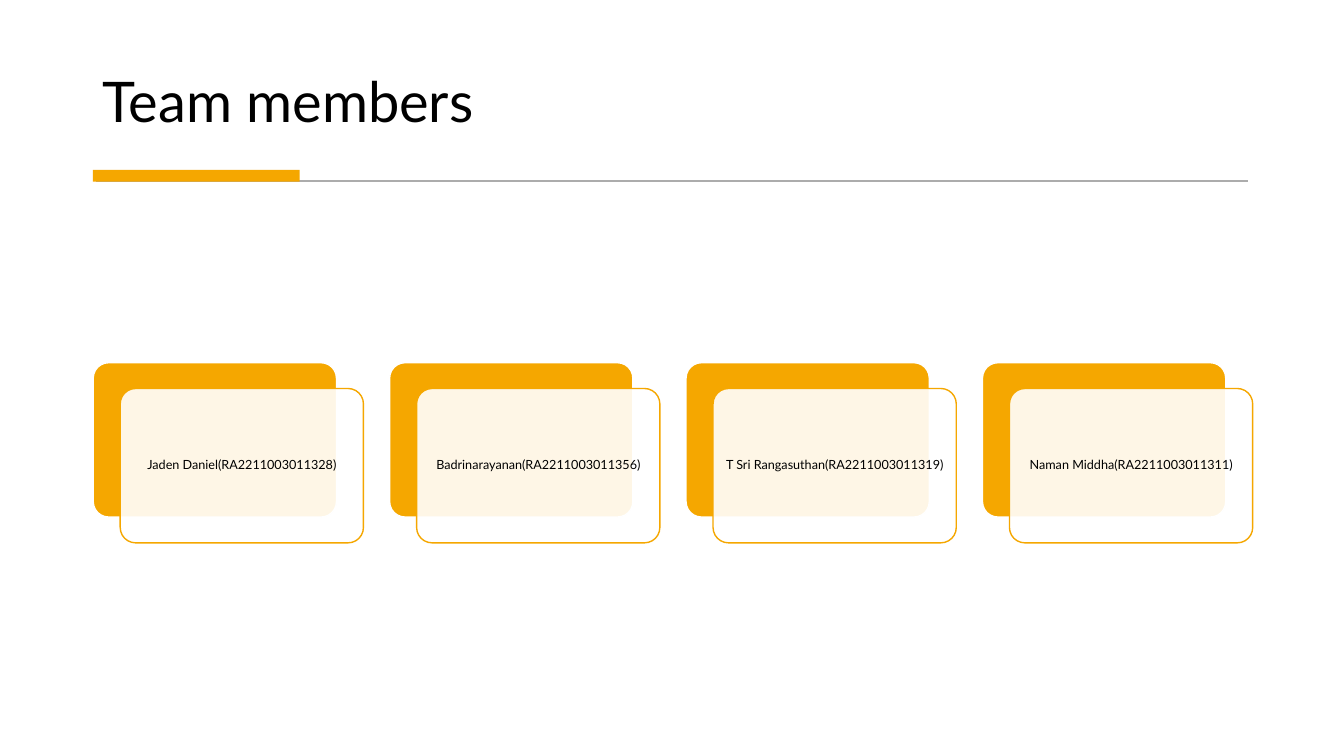
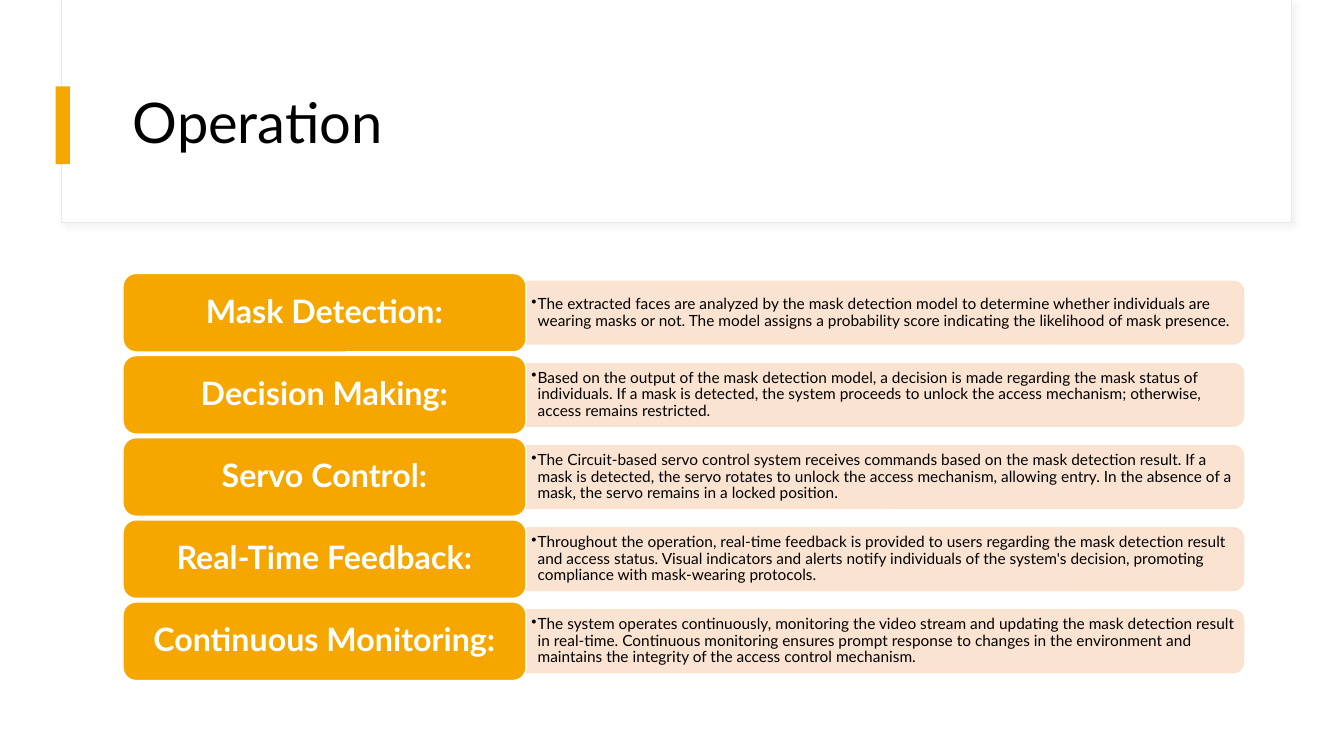
import lxml.etree
import pptx
import pptx.dml.color
import pptx.enum.shapes
import pptx.enum.text
import pptx.oxml.ns
import pptx.util

Cm = pptx.util.Cm
Pt = pptx.util.Pt
RGBColor = pptx.dml.color.RGBColor
KIND = pptx.enum.shapes.MSO_SHAPE
ALIGN = pptx.enum.text.PP_ALIGN
ANCHOR = pptx.enum.text.MSO_ANCHOR

AMBER = RGBColor(0xF5, 0xA7, 0x00)
PEACH = RGBColor(0xFB, 0xE1, 0xCC)
WHITE = RGBColor(0xFF, 0xFF, 0xFF)
BLACK = RGBColor(0x00, 0x00, 0x00)
GREY = RGBColor(0xAC, 0xAC, 0xAC)
PALE = RGBColor(0xE9, 0xE9, 0xE9)
SHADE = RGBColor(0xD9, 0xD9, 0xD9)
FONT = "Lato"

TEAM = [
    "Jaden Daniel(RA2211003011328)",
    "Badrinarayanan(RA2211003011356)",
    "T Sri Rangasuthan(RA2211003011319)",
    "Naman Middha(RA2211003011311)",
]
STEPS = [
    ("Mask Detection:",
     "The extracted faces are analyzed by the mask detection model to determine "
     "whether individuals are wearing masks or not. The model assigns a probability "
     "score indicating the likelihood of mask presence."),
    ("Decision Making:",
     "Based on the output of the mask detection model, a decision is made regarding "
     "the mask status of individuals. If a mask is detected, the system proceeds to "
     "unlock the access mechanism; otherwise, access remains restricted."),
    ("Servo Control:",
     "The Circuit-based servo control system receives commands based on the mask "
     "detection result. If a mask is detected, the servo rotates to unlock the access "
     "mechanism, allowing entry. In the absence of a mask, the servo remains in a "
     "locked position."),
    ("Real-Time Feedback:",
     "Throughout the operation, real-time feedback is provided to users regarding the "
     "mask detection result and access status. Visual indicators and alerts notify "
     "individuals of the system's decision, promoting compliance with mask-wearing "
     "protocols."),
    ("Continuous Monitoring:",
     "The system operates continuously, monitoring the video stream and updating the "
     "mask detection result in real-time. Continuous monitoring ensures prompt response "
     "to changes in the environment and maintains the integrity of the access control "
     "mechanism."),
]


def add_node(parent, tag, **attrs):
    node = lxml.etree.SubElement(parent, pptx.oxml.ns.qn(tag))
    for key, value in attrs.items():
        node.set(key, str(value))
    return node


def write(shape, text, size=11, color=BLACK, bold=False, align=ALIGN.LEFT,
          anchor=ANCHOR.MIDDLE, pad=(0.25, 0.13), bullet=False):
    frame = shape.text_frame
    frame.word_wrap = True
    frame.vertical_anchor = anchor
    frame.margin_left = frame.margin_right = Cm(pad[0])
    frame.margin_top = frame.margin_bottom = Cm(pad[1])
    para = frame.paragraphs[0]
    para.alignment = align
    para.line_spacing = 0.9
    if bullet:
        props = para._p.get_or_add_pPr()
        props.set("marL", str(Cm(0.16)))
        props.set("indent", str(-Cm(0.16)))
        add_node(props, "a:buChar", char="•")
    run = para.add_run()
    run.text = text
    run.font.name = FONT
    run.font.size = Pt(size)
    run.font.bold = bold
    run.font.color.rgb = color


class Deck:
    def __init__(self):
        self.show = pptx.Presentation()
        self.show.slide_width = Cm(33.87)
        self.show.slide_height = Cm(19.05)
        self.slide = None

    def start(self):
        self.slide = self.show.slides.add_slide(self.show.slide_layouts[6])

    def box(self, left, top, width, height, fill, kind=KIND.RECTANGLE,
            line=None, weight=1, alpha=None):
        shape = self.slide.shapes.add_shape(
            kind, Cm(left), Cm(top), Cm(width), Cm(height))
        shape.shadow.inherit = False
        shape.fill.solid()
        shape.fill.fore_color.rgb = fill
        if line is None:
            shape.line.fill.background()
        else:
            shape.line.color.rgb = line
            shape.line.width = Pt(weight)
        if alpha:
            for node in shape._element.spPr.iter(pptx.oxml.ns.qn("a:srgbClr")):
                if node.get("val") == str(fill):
                    add_node(node, "a:alpha", val=alpha * 1000)
        return shape

    def label(self, left, top, width, height, text, **style):
        shape = self.slide.shapes.add_textbox(
            Cm(left), Cm(top), Cm(width), Cm(height))
        write(shape, text, **style)

    def title(self, left, top, width, height, text, **style):
        self.label(left, top, width, height, text, size=40, **style)

    def rule(self, left, top, width):
        line = self.slide.shapes.add_connector(
            pptx.enum.shapes.MSO_CONNECTOR.STRAIGHT,
            Cm(left), Cm(top), Cm(left + width), Cm(top))
        line.line.color.rgb = GREY
        line.line.width = Pt(1.25)
        add_node(line._element.spPr, "a:effectLst")

    def panel(self, left, top, width, height):
        shape = self.box(left, top, width, height, WHITE, line=PALE, weight=0.75)
        effects = shape._element.spPr.find(pptx.oxml.ns.qn("a:effectLst"))
        shadow = add_node(effects, "a:outerShdw", blurRad=Pt(4), dist=Pt(3),
                          dir=45 * 60000, algn="tl", rotWithShape=0)
        tint = add_node(shadow, "a:srgbClr", val=SHADE)
        add_node(tint, "a:alpha", val=30000)

    def card(self, left, top, text):
        width, height = 6.13, 3.89
        back = self.box(left, top, width, height, AMBER,
                        KIND.ROUNDED_RECTANGLE, line=WHITE)
        front = self.box(left + 0.68, top + 0.65, width, height, WHITE,
                         KIND.ROUNDED_RECTANGLE, line=AMBER, alpha=90)
        for shape in (back, front):
            shape.adjustments[0] = 0.1
        write(front, text, size=9, align=ALIGN.CENTER, pad=(0.1, 0.2))

    def step(self, left, top, name, detail):
        width, height = 10.16, 1.98
        length, depth = 18.08, 1.58
        edge = left + width
        middle = top + height / 2
        bar = self.box(edge + (length - depth) / 2, middle - length / 2,
                       depth, length, PEACH, KIND.ROUND_2_SAME_RECTANGLE,
                       line=PEACH, alpha=90)
        bar.rotation = 90
        self.label(edge, middle - 0.71, 18.01, 1.42, detail,
                   pad=(0.13, 0.05), bullet=True)
        head = self.box(left, top, width, height, AMBER,
                        KIND.ROUNDED_RECTANGLE, line=WHITE)
        write(head, name, size=23, color=WHITE, bold=True, align=ALIGN.CENTER)


def draw_team(deck):
    deck.start()
    deck.title(2.34, 0.71, 29.18, 2.82, "Team members", anchor=ANCHOR.BOTTOM)
    deck.rule(2.41, 4.57, 29.03)
    deck.box(2.34, 4.28, 5.21, 0.3, AMBER)
    for index, name in enumerate(TEAM):
        deck.card(2.35 + index * 7.47, 9.14, name)


def draw_steps(deck):
    deck.start()
    deck.panel(1.55, 0, 31.01, 5.61)
    deck.box(1.4, 2.18, 0.36, 1.96, AMBER)
    deck.title(3.1, 1.52, 28.24, 3.28, "Operation")
    for index, (name, detail) in enumerate(STEPS):
        deck.step(3.1, 6.89 + index * 2.07, name, detail)


def main():
    deck = Deck()
    draw_team(deck)
    draw_steps(deck)
    deck.show.save("out.pptx")


if __name__ == "__main__":
    main()
